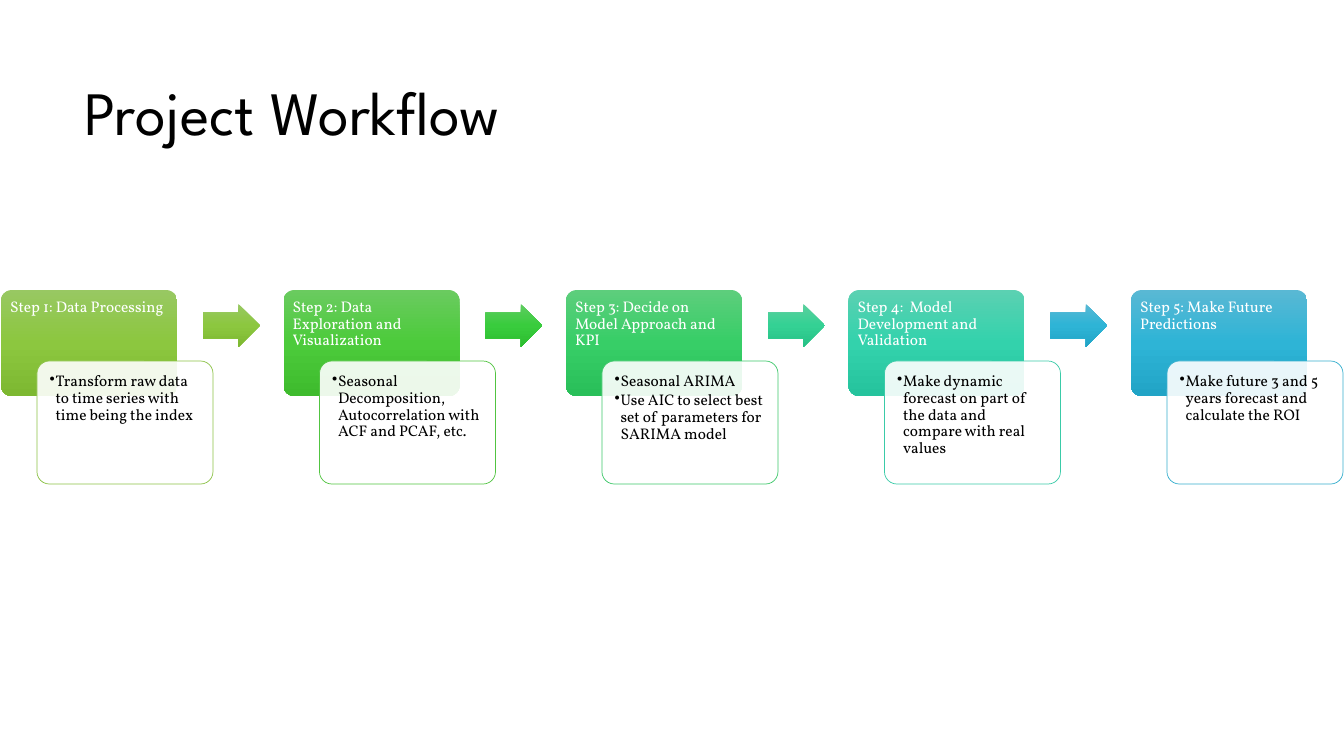
from copy import deepcopy

from lxml.etree import SubElement
from pptx import Presentation
from pptx.dml.color import RGBColor
from pptx.enum.shapes import MSO_SHAPE as Shape
from pptx.enum.text import MSO_ANCHOR as Anchor, PP_ALIGN as Align
from pptx.oxml.ns import qn
from pptx.util import Emu, Pt

# Content: heading, details, card gradient, outline
TITLE = "Project Workflow"
STEPS = [
    ("Step 1: Data Processing",
     ["Transform raw data to time series with time being the index"],
     ("98C862", "8CC73F", "7DB831"), "8BC145"),
    ("Step 2: Data Exploration and Visualization",
     ["Seasonal Decomposition, Autocorrelation with ACF and PCAF, etc."],
     ("6ACB5F", "4CCB3B", "3EBB2D"), "51C441"),
    ("Step 3: Decide on Model Approach and KPI",
     ["Seasonal ARIMA", "Use AIC to select best set of parameters for SARIMA model"],
     ("5DCE7C", "37CE67", "29BF59"), "3EC76A"),
    ("Step 4:  Model Development and Validation",
     ["Make dynamic forecast on part of the data and compare with real values"],
     ("5BD1B2", "33D2AC", "25C39D"), "3ACBA8"),
    ("Step 5: Make Future Predictions",
     ["Make future 3 and 5 years forecast and calculate the ROI"],
     ("59B8D4", "2EB4D6", "21A4C6"), "36AFCE"),
]
# Gradients of the arrows between the steps
ARROWS = [
    ("98C862", "8CC73F", "7DB831"),
    ("5FCC61", "39CC3D", "2CBD2F"),
    ("5CD09E", "34D194", "26C186"),
    ("59B8D4", "2EB4D6", "21A4C6"),
]

WHITE = RGBColor(255, 255, 255)
BLACK = RGBColor(0, 0, 0)
TITLE_FONT, BODY_FONT = "League Spartan", "Vollkorn"

# Layout in px
SLIDE_WIDTH, SLIDE_HEIGHT = 1344, 756
SCALE = 12192000 / SLIDE_WIDTH
TITLE_BOX = (74, 43, 1159, 146)
FIRST_LEFT, LAST_LEFT = 1, 1131
PITCH = (LAST_LEFT - FIRST_LEFT) / (len(STEPS) - 1)
HEADING_TOP, HEADING_HEIGHT = 290, 106
DETAIL_SHIFT, DETAIL_TOP, DETAIL_HEIGHT = 36, 361, 123
CARD_WIDTH = 176
ARROW_SHIFT, ARROW_TOP, ARROW_WIDTH, ARROW_HEIGHT = 202, 304, 57, 43
BULLET_INDENT = 6


def px(length):
    return Emu(round(length * SCALE))


def write(shape, lines, font=BODY_FONT, size=11, color=BLACK, anchor=Anchor.TOP,
          inset=None, bullet=False, space_after=0):
    frame = shape.text_frame
    frame.word_wrap = True
    frame.vertical_anchor = anchor
    if inset is not None:
        frame.margin_left = frame.margin_right = px(inset)
        frame.margin_top = frame.margin_bottom = px(inset)
    for index, line in enumerate(lines):
        paragraph = frame.add_paragraph() if index else frame.paragraphs[0]
        paragraph.alignment = Align.LEFT
        paragraph.line_spacing = 0.9
        paragraph.space_after = Pt(space_after)
        run = paragraph.add_run()
        run.text = line
        run.font.name = font
        run.font.size = Pt(size)
        run.font.color.rgb = color
        if bullet:
            properties = paragraph._p.get_or_add_pPr()
            properties.set("marL", str(px(BULLET_INDENT)))
            properties.set("indent", str(-px(BULLET_INDENT)))
            SubElement(properties, qn("a:buChar")).set("char", "•")


def add_part(kind, left, top, width, height, adjustments):
    shape = slide.shapes.add_shape(kind, px(left), px(top), px(width), px(height))
    shape.shadow.inherit = False
    shape.line.fill.background()
    for index, value in enumerate(adjustments):
        shape.adjustments[index] = value
    return shape


def fill_gradient(shape, colors):
    shape.fill.gradient()
    shape.fill.gradient_angle = 270
    stop_list = shape._element.spPr.find(qn("a:gradFill")).find(qn("a:gsLst"))
    stop_list.insert(1, deepcopy(stop_list[0]))
    for stop, position, color in zip(shape.fill.gradient_stops, (0, 0.5, 1), colors):
        stop.position = position
        stop.color.rgb = RGBColor.from_string(color)


presentation = Presentation()
presentation.slide_width = px(SLIDE_WIDTH)
presentation.slide_height = px(SLIDE_HEIGHT)
slide = presentation.slides.add_slide(presentation.slide_layouts[5])

# Title
title = slide.shapes.title
title.left, title.top, title.width, title.height = map(px, TITLE_BOX)
write(title, [TITLE], font=TITLE_FONT, size=44, anchor=Anchor.MIDDLE)

for number, (heading, details, gradient, outline) in enumerate(STEPS):
    left = FIRST_LEFT + number * PITCH

    # Heading card
    card = add_part(Shape.ROUNDED_RECTANGLE, left, HEADING_TOP,
                    CARD_WIDTH, HEADING_HEIGHT, [0.1])
    fill_gradient(card, gradient)
    write(card, [heading], color=WHITE, inset=6)

    # Detail card, slightly see-through
    card = add_part(Shape.ROUNDED_RECTANGLE, left + DETAIL_SHIFT, DETAIL_TOP,
                    CARD_WIDTH, DETAIL_HEIGHT, [0.1])
    card.fill.solid()
    card.fill.fore_color.rgb = WHITE
    white = card._element.spPr.find(qn("a:solidFill"))[0]
    SubElement(white, qn("a:alpha")).set("val", "90000")
    card.line.color.rgb = RGBColor.from_string(outline)
    card.line.width = Pt(0.5)
    write(card, details, inset=9, bullet=True, space_after=1.7)

    # Arrow to the next step
    if number < len(ARROWS):
        arrow = add_part(Shape.RIGHT_ARROW, left + ARROW_SHIFT, ARROW_TOP,
                         ARROW_WIDTH, ARROW_HEIGHT, [0.6, 0.5])
        fill_gradient(arrow, ARROWS[number])

presentation.save("out.pptx")
